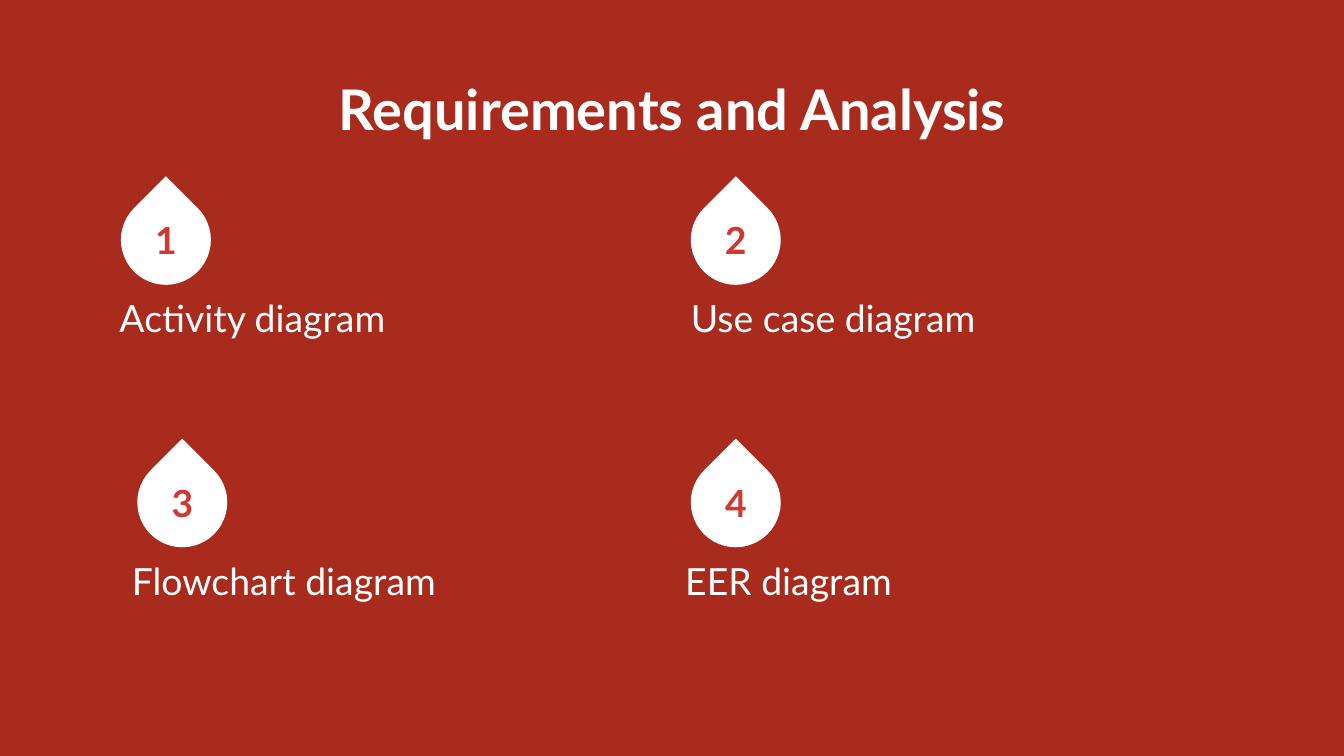
"""Build the Requirements and Analysis slide with four numbered diagrams."""
from dataclasses import dataclass

from pptx import Presentation
from pptx.dml.color import RGBColor as RGB
from pptx.enum.shapes import MSO_SHAPE as SHAPE
from pptx.enum.text import MSO_ANCHOR as ANCHOR, PP_ALIGN as ALIGN
from pptx.util import Pt


@dataclass(frozen=True)
class Theme:
    background: RGB = RGB.from_string("A82B1E")
    light: RGB = RGB.from_string("FFFFFF")
    accent: RGB = RGB.from_string("D03932")
    font: str = "Lato"
    title_size: int = 30
    body_size: int = 20


class Deck:
    def __init__(self, slide, theme):
        self.slide = slide
        self.theme = theme
        fill = slide.background.fill
        fill.solid()
        fill.fore_color.rgb = theme.background

    def text(self, text, x, y, w, h, size, color, bold=False, align=ALIGN.LEFT):
        sp = self.slide.shapes.add_textbox(Pt(x), Pt(y), Pt(w), Pt(h))
        tf = sp.text_frame
        tf.word_wrap = True
        tf.vertical_anchor = ANCHOR.MIDDLE
        tf.margin_left = tf.margin_right = Pt(7.2)
        tf.margin_top = tf.margin_bottom = Pt(7.2)
        tf.text = text
        p = tf.paragraphs[0]
        p.alignment = align
        font = p.runs[0].font
        font.name = self.theme.font
        font.size = Pt(size)
        font.bold = bold
        font.color.rgb = color

    def title(self, text, x, y, w, h):
        self.text(text, x, y, w, h, self.theme.title_size, self.theme.light,
                  True, ALIGN.CENTER)

    def label(self, text, x, y):
        self.text(text, x, y, 300, 41.8, self.theme.body_size, self.theme.light)

    def drop(self, number, x, y, number_width, size=48.2, number_height=46.8):
        sp = self.slide.shapes.add_shape(SHAPE.TEAR, Pt(x), Pt(y), Pt(size), Pt(size))
        sp.rotation = 315
        sp.shadow.inherit = False
        sp.fill.solid()
        sp.fill.fore_color.rgb = self.theme.light
        sp.line.fill.background()
        self.text(str(number), x + (size - number_width) / 2,
                  y + (size - number_height) / 2, number_width, number_height,
                  self.theme.body_size, self.theme.accent, True, ALIGN.CENTER)


def main():
    prs = Presentation()
    prs.slide_width, prs.slide_height = Pt(720), Pt(405)
    deck = Deck(prs.slides.add_slide(prs.slide_layouts[6]), Theme())
    deck.title("Requirements and Analysis", 56.7, 35.3, 607, 45.4)

    rows = [
        (104.4, 50.4, [("Activity diagram", 64.8, 56.9), ("Use case diagram", 370.1, 363)]),
        (245, 68.4, [("Flowchart diagram", 73.6, 63.5), ("EER diagram", 370.1, 360)]),
    ]
    number = 0
    for y, number_width, items in rows:
        for text, drop_x, label_x in items:
            number += 1
            deck.drop(number, drop_x, y, number_width)
            deck.label(text, label_x, y + 45)
    prs.save("out.pptx")


if __name__ == "__main__":
    main()
